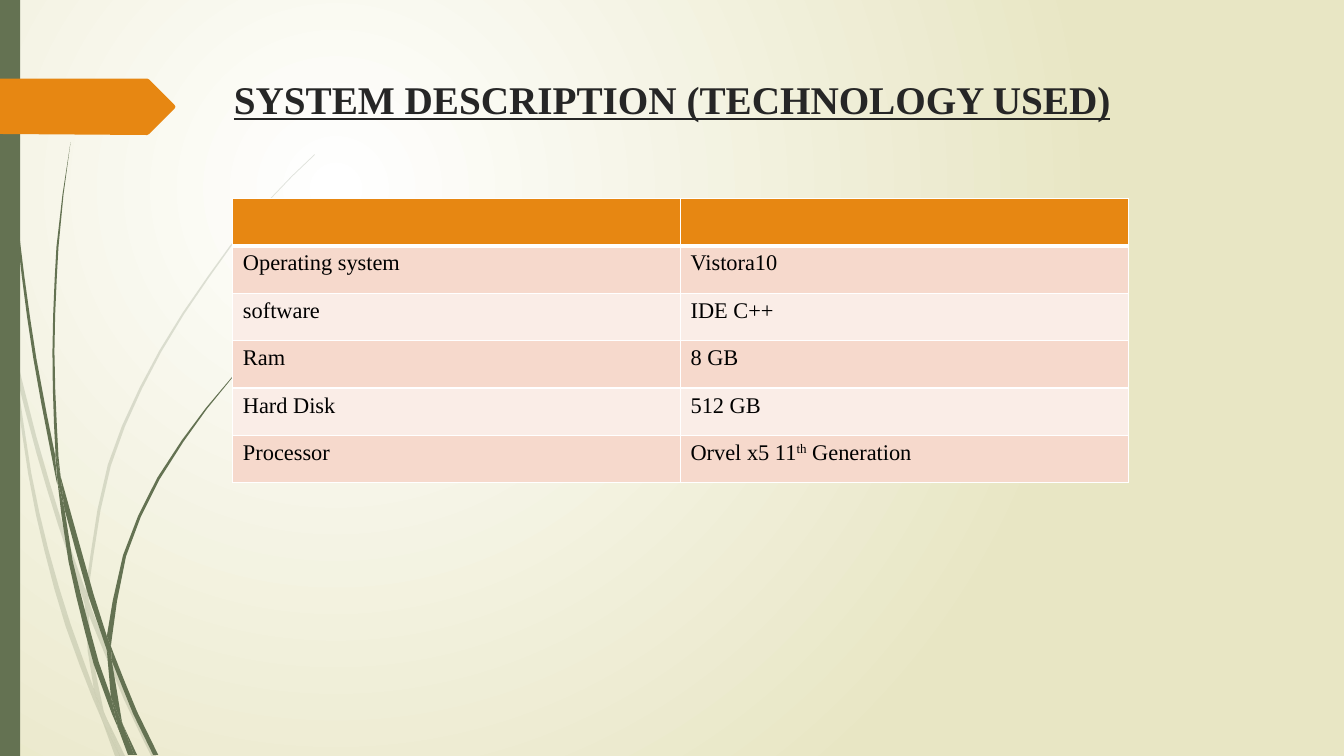
"""Builds the system description slide with its grass backdrop and table."""
import math

from pptx import Presentation
from pptx import util as u
from pptx.dml.color import RGBColor
from pptx.enum import shapes, text
from pptx.oxml import parse_xml
from pptx.oxml.ns import nsdecls

PX = 9144
THEME = {
    "font": "Times New Roman", "title_size": 28, "cell_size": 16,
    "title": RGBColor.from_string("262626"), "text": RGBColor.from_string("000000"),
    "grass": RGBColor.from_string("647252"), "accent": RGBColor.from_string("E78712"),
    "glow": RGBColor.from_string("FFFFFF"), "sand": RGBColor.from_string("E8E6C4"),
    "bands": [RGBColor.from_string("FAEDE7"), RGBColor.from_string("F6D9CC")],
    "border": "FFFFFF",
}

FADED_BLADES = [
    ([(0, 282), (9, 322), (11, 350)], [(11, 350), (10, 344), (0, 299)]),
    ([(14, 345), (36, 433), (62, 520), (85, 586)], [(84, 599), (58, 522), (36, 449), (17, 376)]),
    ([(88, 596), (92, 607), (127, 692), (155, 750)], [(150, 750), (123, 694), (88, 610)]),
    ([(105, 711), (124, 750)], [(119, 750), (105, 711)]),
    ([(11, 350), (17, 376), (31, 469), (48, 545), (70, 619), (93, 683), (99, 707), (101, 714)],
     [(101, 714), (92, 693), (65, 621), (44, 546), (28, 470), (11, 350)]),
    ([(84, 599), (87, 646), (93, 683), (96, 692), (105, 711)],
     [(105, 711), (103, 706), (91, 646), (88, 610), (84, 599)]),
    ([(312, 153), (289, 175), (268, 197), (228, 244), (158, 348), (107, 461), (85, 584), (85, 586)],
     [(88, 596), (88, 584), (110, 462), (160, 349), (229, 245), (268, 198), (290, 175), (312, 154)]),
    ([(101, 714), (114, 750)], [(119, 750), (101, 714)]),
    ([(85, 586), (84, 599), (88, 610)], [(88, 610), (88, 596), (85, 586)]),
    ([(93, 683), (99, 707), (101, 714), (119, 750)], [(119, 750), (105, 711), (96, 692), (93, 683)]),
]
GREEN_BLADES = [
    ([(3, 0), (4, 48), (7, 110), (17, 233), (33, 355), (56, 477), (57, 481)],
     [(57, 481), (55, 457), (55, 453), (36, 355), (19, 232), (8, 109), (5, 48), (4, 0)]),
    ([(60, 472), (93, 590), (106, 631)], [(106, 645), (88, 592), (64, 505)]),
    ([(110, 641), (113, 649), (136, 706), (157, 749)], [(152, 749), (132, 708), (111, 656)]),
    ([(57, 477), (64, 505), (72, 556), (98, 657), (110, 691), (116, 717), (117, 722)],
     [(117, 722), (111, 708), (93, 659), (68, 557), (57, 477)]),
    ([(70, 141), (62, 193), (56, 245), (52, 349), (55, 449), (60, 472)],
     [(60, 472), (58, 453), (54, 349), (58, 245), (63, 193), (70, 141)]),
    ([(122, 719), (136, 749)], [(133, 749), (122, 719)]),
    ([(55, 449), (60, 472), (64, 505)], [(64, 505), (57, 477), (55, 453)]),
    ([(260, 344), (245, 358), (231, 373), (204, 405), (156, 474), (122, 551), (106, 631)],
     [(110, 641), (111, 633), (125, 552), (158, 476), (205, 406), (231, 374), (245, 359), (261, 344)]),
    ([(117, 722), (127, 749)], [(131, 749), (117, 722)]),
    ([(106, 645), (110, 691), (116, 706), (122, 719)],
     [(122, 719), (121, 716), (111, 656), (109, 651), (106, 645)]),
    ([(106, 631), (106, 645), (111, 656)], [(111, 656), (110, 641), (106, 631)]),
    ([(110, 691), (116, 717), (117, 722), (130, 749)], [(133, 749), (122, 719), (116, 706), (110, 691)]),
]
ARROW_TAG = [(0, 78), (146, 78), (148, 79), (173, 104), (174, 106), (173, 108), (148, 133), (146, 134), (0, 133)]
ROWS = [
    ([], []),
    (["Operating system"], ["Vistora10"]),
    (["software"], ["IDE C++"]),
    (["Ram"], ["8 GB"]),
    (["Hard Disk"], ["512 GB"]),
    (["Processor"], ["Orvel x5 11", "th", " Generation"]),
]


def smooth(knots, spacing=40):
    """Return points on a Catmull-Rom curve through the knots."""
    padded = [knots[0], *knots, knots[-1]]
    points = [knots[0]]
    for a, b, c, d in zip(padded, padded[1:], padded[2:], padded[3:]):
        steps = max(1, round(math.dist(b, c) / spacing)) if len(knots) > 2 else 1
        for step in range(1, steps + 1):
            t = step / steps
            points.append(tuple(
                q + t * (r - p) / 2 + t**2 * (2 * p - 5 * q + 4 * r - s) / 2
                + t**3 * (3 * q - p - 3 * r + s) / 2
                for p, q, r, s in zip(a, b, c, d)))
    return points


def draw_outline(container, points, colour):
    """Add a filled closed outline to the container."""
    vertices = [(round(x * PX), round(y * PX)) for x, y in points]
    builder = container.build_freeform(*vertices[0], scale=1.0)
    builder.add_line_segments(vertices[1:], close=True)
    shape = builder.convert_to_shape()
    shape.shadow.inherit = False
    shape.fill.solid()
    shape.fill.fore_color.rgb = colour
    shape.line.fill.background()
    return shape


presentation = Presentation()
presentation.slide_width = 1333 * PX
presentation.slide_height = 750 * PX
slide = presentation.slides.add_slide(presentation.slide_layouts[6])

backdrop = slide.background.fill
backdrop.gradient()
for stop, colour in zip(backdrop.gradient_stops, (THEME["glow"], THEME["sand"])):
    stop.color.rgb = colour
for linear in slide.element.xpath(".//p:bg//a:lin"):
    linear.getparent().replace(linear, parse_xml(
        f'<a:path {nsdecls("a")} path="circle">'
        '<a:fillToRect l="50000" t="50000" r="100000" b="100000"/></a:path>'))

for blades, opacity in ((FADED_BLADES, 20), (GREEN_BLADES, 100)):
    tuft = slide.shapes.add_group_shape()
    for outward, back in blades:
        blade = draw_outline(tuft.shapes, smooth(outward) + smooth(back), THEME["grass"])
        if opacity < 100:
            for colour in blade.element.xpath("./p:spPr/a:solidFill/a:srgbClr"):
                colour.append(parse_xml(f'<a:alpha {nsdecls("a")} val="{opacity * 1000}"/>'))

side_bar = slide.shapes.add_shape(shapes.MSO_SHAPE.RECTANGLE, 0, 0, 20 * PX, 750 * PX)
side_bar.shadow.inherit = False
side_bar.fill.solid()
side_bar.fill.fore_color.rgb = THEME["grass"]
side_bar.line.fill.background()

draw_outline(slide.shapes, ARROW_TAG, THEME["accent"])

title = slide.shapes.add_textbox(179 * PX, 70 * PX, 975 * PX, 140 * PX)
title.text_frame.word_wrap = True
paragraph = title.text_frame.paragraphs[0]
paragraph.alignment = text.PP_ALIGN.CENTER
run = paragraph.add_run()
run.text = "SYSTEM DESCRIPTION (TECHNOLOGY USED)"
run.font.name = THEME["font"]
run.font.size = u.Pt(THEME["title_size"])
run.font.color.rgb = THEME["title"]
run.font.bold = True
run.font.underline = True

table = slide.shapes.add_table(len(ROWS), 2, 231 * PX, 197 * PX, 888 * PX, 282 * PX).table
for row_index, row in enumerate(ROWS):
    for column_index, pieces in enumerate(row):
        cell = table.cell(row_index, column_index)
        cell.fill.solid()
        cell.fill.fore_color.rgb = THEME["bands"][row_index % 2] if row_index else THEME["accent"]
        widths = {"L": 1, "R": 1, "T": 3 if row_index == 1 else 1, "B": 1 if row_index else 3}
        properties = cell._tc.get_or_add_tcPr()
        for position, (side, width) in enumerate(widths.items()):
            properties.insert(position, parse_xml(
                f'<a:ln{side} {nsdecls("a")} w="{int(u.Pt(width))}"><a:solidFill>'
                f'<a:srgbClr val="{THEME["border"]}"/></a:solidFill></a:ln{side}>'))
        for piece in pieces:
            run = cell.text_frame.paragraphs[0].add_run()
            run.text = piece
            run.font.name = THEME["font"]
            run.font.size = u.Pt(THEME["cell_size"])
            run.font.color.rgb = THEME["text"]
            if piece == "th":
                run._r.get_or_add_rPr().set("baseline", "30000")

presentation.save("out.pptx")
